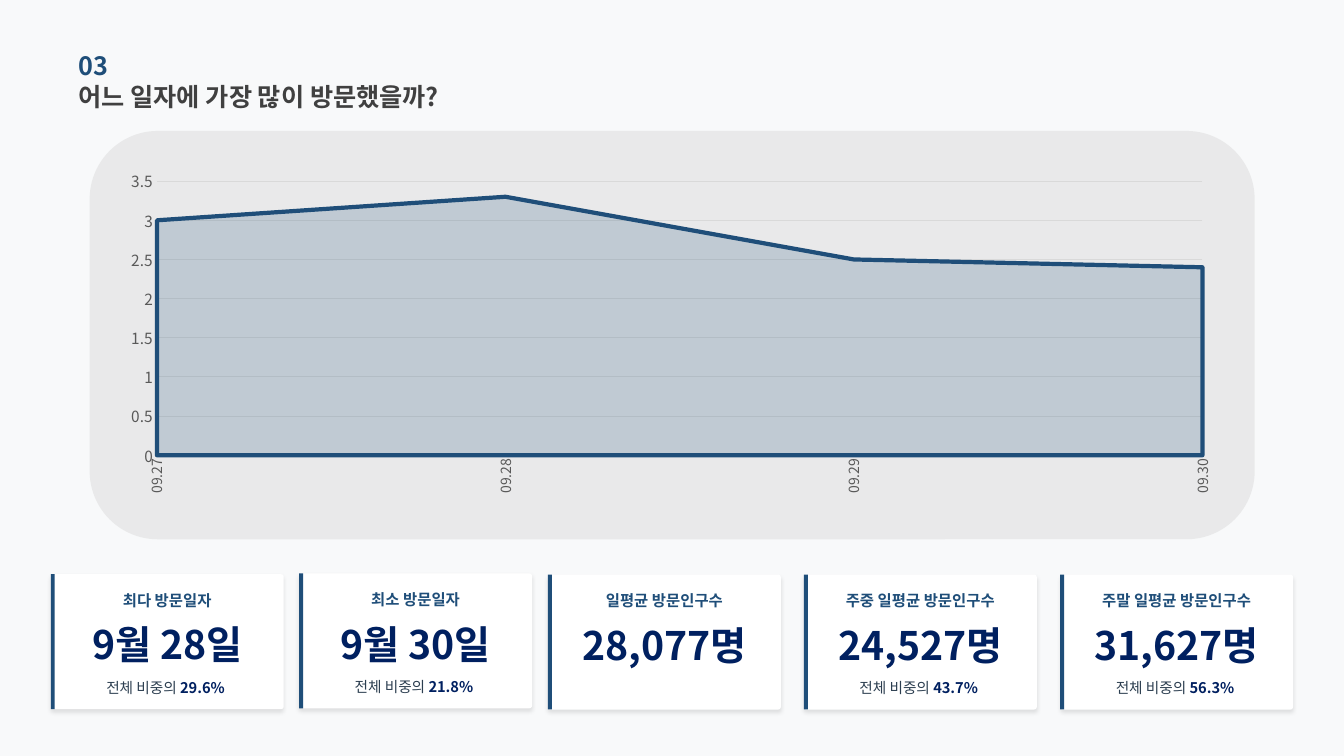
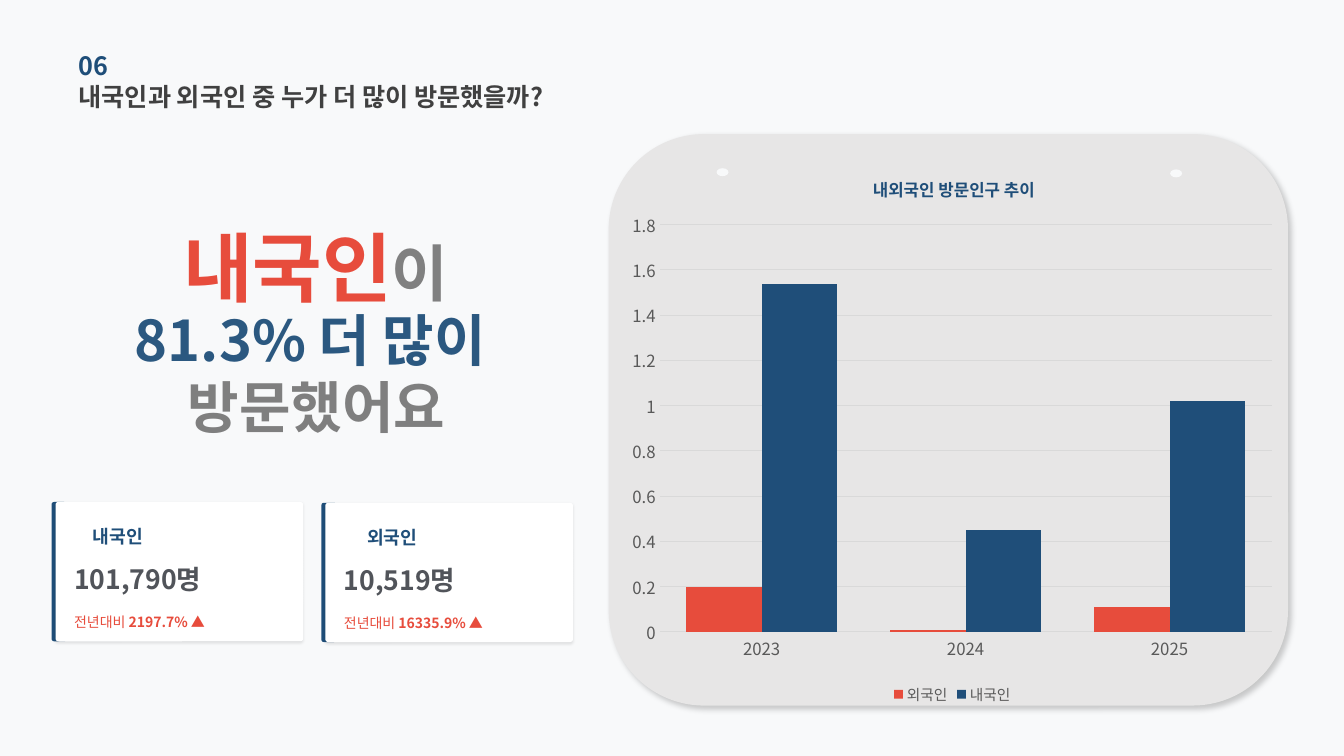
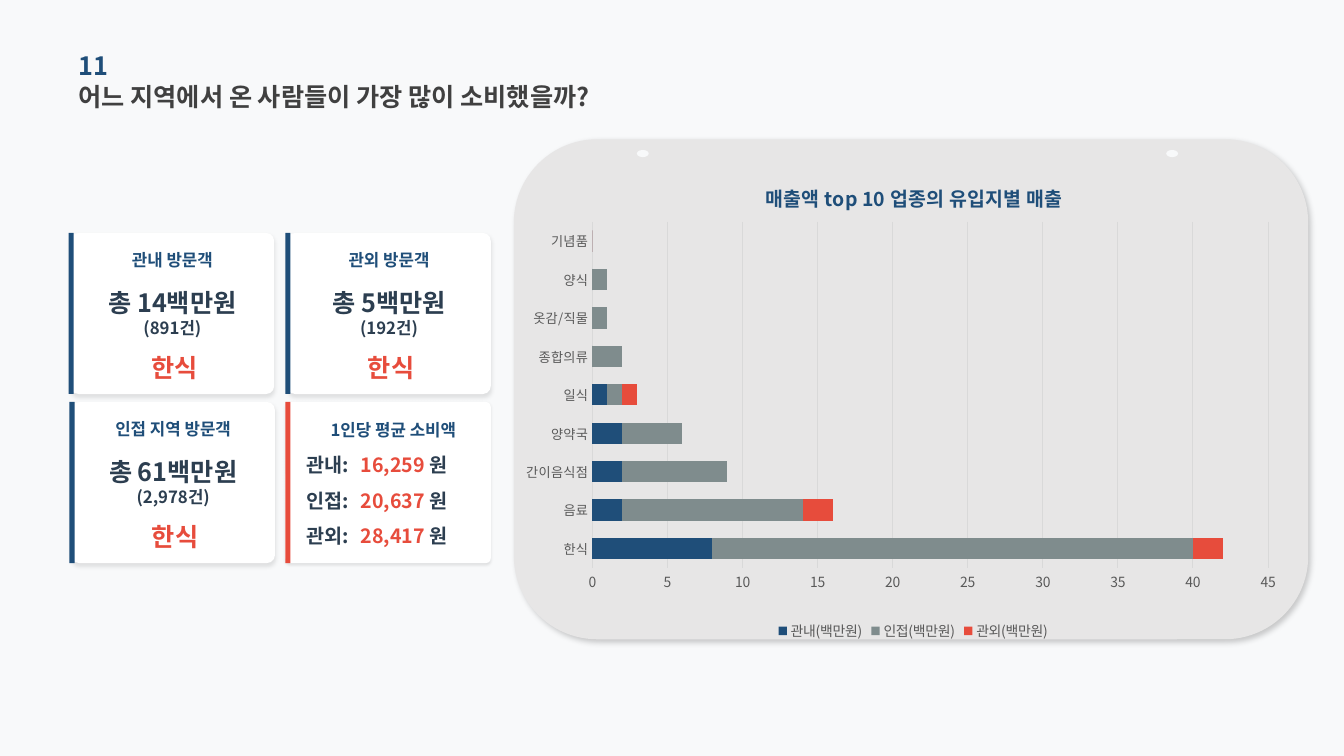
from dataclasses import dataclass
from typing import Optional

from lxml.etree import SubElement
from pptx import Presentation
from pptx.chart.data import CategoryChartData
from pptx.dml.color import RGBColor
from pptx.enum.chart import XL_CHART_TYPE, XL_LEGEND_POSITION, XL_TICK_MARK
from pptx.enum.shapes import MSO_SHAPE
from pptx.enum.text import MSO_ANCHOR, PP_ALIGN
from pptx.oxml.ns import qn
from pptx.util import Cm, Pt

# Shared look
FONT = "Noto Sans CJK KR"
PAPER, WHITE, PANEL = "F8F9FA", "FFFFFF", "E7E6E6"
BLUE, NAVY, RED, SLATE = "1F4E79", "002060", "E74C3C", "2C3E50"
GREY, RULE, LABEL = "7F8C8D", "D9D9D9", "595959"
ROUND, RECT, OVAL = MSO_SHAPE.ROUNDED_RECTANGLE, MSO_SHAPE.RECTANGLE, MSO_SHAPE.OVAL
MID, LEFT = PP_ALIGN.CENTER, PP_ALIGN.LEFT


@dataclass
class Run:
    text: str
    size: Optional[float] = None
    color: Optional[str] = None
    bold: Optional[bool] = None
    new: bool = False  # starts a paragraph


@dataclass
class Shade:
    alpha: int
    blur: float
    dist: float
    angle: int


@dataclass
class Day:
    x: float
    y: float
    label: str
    value: str
    share: str = ""


@dataclass
class Group:
    x: float
    y: float
    label: str
    value: str
    rate: str
    dent: float


@dataclass
class Spend:
    x: float
    y: float
    label: str
    total: str
    count: str


@dataclass
class Series:
    name: str
    values: tuple
    color: str


@dataclass
class Graph:
    kind: XL_CHART_TYPE
    box: tuple
    cats: tuple
    rows: list
    top: float
    step: float
    plot: tuple
    sizes: tuple  # category labels, value labels, legend
    gap: int = 0
    title: str = ""
    head: tuple = ()  # title size, left, top


SOFT, FLAT, DEEP = Shade(10, 3, 2, 90), Shade(10, 2, 1, 90), Shade(20, 4, 3, 45)


# Building blocks
def tint(code: str) -> RGBColor:
    return RGBColor.from_string(code)


def style(font, size: float, color: str, bold: bool = False) -> None:
    font.size, font.bold, font.name = Pt(size), bold, FONT
    font.color.rgb = tint(color)
    SubElement(font._rPr, qn("a:ea")).set("typeface", FONT)


def fade(fill, alpha: int) -> None:
    code = fill._xPr.find(".//" + qn("a:srgbClr"))
    SubElement(code, qn("a:alpha")).set("val", str(alpha * 1000))


def text(slide, box: tuple, *runs, size: float = 12, color: str = BLUE,
         bold: bool = True, align=LEFT) -> None:
    frame = slide.shapes.add_textbox(*map(Cm, box)).text_frame
    frame.word_wrap, frame.vertical_anchor = True, MSO_ANCHOR.MIDDLE
    frame.margin_left = frame.margin_right = frame.margin_top = frame.margin_bottom = 0
    para = frame.paragraphs[0]
    for item in runs:
        run = item if isinstance(item, Run) else Run(item)
        if run.new:
            para = frame.add_paragraph()
        para.alignment = align
        part = para.add_run()
        part.text = run.text
        style(part.font, run.size or size, run.color or color,
              bold if run.bold is None else run.bold)


def block(slide, kind, box: tuple, color: str, adj: Optional[float] = None,
          shade: Optional[Shade] = None):
    shape = slide.shapes.add_shape(kind, *map(Cm, box))
    shape.fill.solid()
    shape.fill.fore_color.rgb = tint(color)
    shape.line.fill.background()
    shape.shadow.inherit = False
    if adj is not None:
        shape.adjustments[0] = adj
    if shade:
        glow = SubElement(shape._element.spPr.find(qn("a:effectLst")), qn("a:outerShdw"))
        for key, val in (("blurRad", Pt(shade.blur)), ("dist", Pt(shade.dist)),
                         ("dir", shade.angle * 60000), ("rotWithShape", 0)):
            glow.set(key, str(int(val)))
        glow.set("algn", "tl")
        code = SubElement(glow, qn("a:srgbClr"))
        code.set("val", "000000")
        SubElement(code, qn("a:alpha")).set("val", str(shade.alpha * 1000))
    return shape


def page(deck, number: str, title: str):
    slide = deck.slides.add_slide(deck.slide_layouts[6])
    text(slide, (1.98, 1.9, 13.6, 1.04), title, size=18, color="404040")
    text(slide, (1.98, 1.12, 11.48, 1.04), number, size=18)
    return slide


def board(slide, box: tuple, dots: tuple, tall: float) -> None:
    block(slide, ROUND, box, PANEL, shade=DEEP)
    for x, y in dots:
        block(slide, OVAL, (x, y, 0.3, tall), PAPER)


# Charts
def place(part, index: int, inner: bool = False, **spots: float) -> None:
    old = part.find(qn("c:layout"))
    if old is not None:
        part.remove(old)
    layout = SubElement(part, qn("c:layout"))
    part.insert(index, layout)
    manual = SubElement(layout, qn("c:manualLayout"))
    marks = [("layoutTarget", "inner")] if inner else []
    marks += [("xMode", "edge"), ("yMode", "edge")]
    marks += [(key, str(val)) for key, val in spots.items()]
    for key, val in marks:
        SubElement(manual, qn("c:" + key)).set("val", val)


def draw(slide, graph: Graph):
    data = CategoryChartData()
    data.categories = graph.cats
    for row in graph.rows:
        data.add_series(row.name, row.values)
    chart = slide.shapes.add_chart(graph.kind, *map(Cm, graph.box), data).chart
    style(chart.font, 10, "000000")
    plot = chart.plots[0]
    plot.vary_by_categories = False
    if graph.gap:
        plot.gap_width = graph.gap
    for row, line in zip(graph.rows, plot.series):
        line.format.fill.solid()
        line.format.fill.fore_color.rgb = tint(row.color)

    # Axes
    cat, val = chart.category_axis, chart.value_axis
    for axis, size in zip((cat, val), graph.sizes):
        axis.major_tick_mark = axis.minor_tick_mark = XL_TICK_MARK.NONE
        style(axis.tick_labels.font, size, LABEL)
    cat.has_major_gridlines, val.has_major_gridlines = False, True
    for line in (cat.format.line, val.major_gridlines.format.line):
        line.color.rgb, line.width = tint(RULE), Pt(0.75)
    val.format.line.fill.background()
    val.minimum_scale, val.maximum_scale, val.major_unit = 0, graph.top, graph.step
    val.tick_labels.number_format = "General"
    val.tick_labels.number_format_is_linked = False
    area = chart._chartSpace.chart.plotArea
    place(area, 0, inner=True, **dict(zip("xywh", graph.plot)))

    # Title and legend
    chart.has_title = bool(graph.title)
    if graph.title:
        size, x, y = graph.head
        run = chart.chart_title.text_frame.paragraphs[0].add_run()
        run.text = graph.title
        style(run.font, size, BLUE, True)
        place(chart.chart_title._element, 1, x=x, y=y)
    chart.has_legend = len(graph.rows) > 1
    if chart.has_legend:
        chart.legend.position = XL_LEGEND_POSITION.BOTTOM
        chart.legend.include_in_layout = False
        style(chart.legend.font, graph.sizes[2], LABEL)
    return chart


# Slide 03
def days(deck) -> None:
    slide = page(deck, "03", "어느 일자에 가장 많이 방문했을까?")
    panel = block(slide, ROUND, (2.26, 3.3, 29.36, 10.29), "D0CECE")
    fade(panel.fill, 36)
    cards = [
        Day(1.28, 14.47, "최다 방문일자", "9월 28일", "29.6% "),
        Day(7.54, 14.45, "최소 방문일자", "9월 30일", "21.8% "),
        Day(13.81, 14.48, "일평균 방문인구수", "28,077명"),
        Day(20.26, 14.48, "주중 일평균 방문인구수", "24,527명", "43.7% "),
        Day(26.72, 14.48, "주말 일평균 방문인구수", "31,627명", "56.3% "),
    ]
    wide, tall = 5.87, 3.4
    for card in cards:
        x, y = card.x, card.y
        block(slide, ROUND, (x, y, wide, tall), WHITE, 0.02, SOFT)
        block(slide, RECT, (x, y, 0.1, tall), BLUE)
        text(slide, (x, y + 0.37, wide, 0.56), card.label, size=11, align=MID)
        text(slide, (x, y + 1.28, wide, 0.97), card.value, size=28, color=NAVY, align=MID)
        if card.share:
            text(slide, (x, y + 2.59, wide, 0.53), Run("전체 비중의 ", bold=False),
                 Run(card.share, color=NAVY), size=10.5, color=SLATE, align=MID)
    chart = draw(slide, Graph(
        XL_CHART_TYPE.AREA, (2.74, 3.28, 28.27, 10.36),
        ("09.27", "09.28", "09.29", "09.30"),
        [Series("Series 1", (3, 3.3, 2.5, 2.4), BLUE)],
        3.5, 0.5, (0.043, 0.124, 0.932, 0.667), (10, 11)))
    trend = chart.plots[0].series[0].format
    fade(trend.fill, 20)
    trend.line.color.rgb, trend.line.width = tint(BLUE), Pt(3)
    body = chart.category_axis._element.find(qn("c:txPr")).find(qn("a:bodyPr"))
    body.set("rot", "-5400000")
    body.set("vert", "horz")
    chart.value_axis._element.find(qn("c:crossBetween")).set("val", "midCat")


# Slide 06
def guests(deck) -> None:
    slide = page(deck, "06", "내국인과 외국인 중 누가 더 많이 방문했을까?")
    board(slide, (15.34, 3.38, 17.12, 14.4), ((18.06, 4.24), (29.49, 4.27)), 0.2)
    text(slide, (2.51, 6.1, 10.9, 1.22), Run("내국인", 54, RED),
         Run("이", 44, "808080"), align=MID)
    text(slide, (0.97, 8.33, 14.02, 2.13), Run("81.3% 더 많이 ", color="2B5880"),
         Run("방문했어요", color="7F7F7F", new=True), size=40, align=MID)
    cards = [
        Group(1.4, 12.65, "내국인", "101,790명", "2197.7% ▲", 0.94),
        Group(8.2, 12.67, "외국인", "10,519명", "16335.9% ▲", 1.05),
    ]
    tall = 3.51
    for card in cards:
        x, y = card.x, card.y
        block(slide, ROUND, (x - 0.1, y, 0.38, tall), BLUE)
        block(slide, ROUND, (x, y, 6.24, tall), WHITE, 0.02, FLAT)
        text(slide, (x + card.dent, y + 0.5, 1.65, 0.71), card.label, size=13)
        text(slide, (x + 0.47, y + 1.45, 6.4, 0.99), card.value, size=19, color="51545A")
        text(slide, (x + 0.47, y + 2.46, 6.4, 1.14), Run("전년대비 ", bold=False),
             card.rate, size=10, color=RED)
    draw(slide, Graph(
        XL_CHART_TYPE.COLUMN_CLUSTERED, (15.62, 3.76, 16.76, 14.1),
        ("2023", "2024", "2025"),
        [Series("외국인", (0.2, 0.01, 0.11), RED),
         Series("내국인", (1.54, 0.45, 1.02), BLUE)],
        1.8, 0.2, (0.06, 0.135, 0.92, 0.728), (12, 12, 10.5), 70,
        "내외국인 방문인구 추이", (12, 0.376, 0.04)))


# Slide 11
def sales(deck) -> None:
    slide = page(deck, "11", "어느 지역에서 온 사람들이 가장 많이 소비했을까?")
    board(slide, (12.95, 3.51, 20.02, 12.6), ((16.05, 3.78), (29.39, 3.78)), 0.18)
    wide, tall, bar = 5.13, 4.06, 0.13
    cards = [
        Spend(1.78, 5.87, "관내 방문객", "총 14백만원", "(891건)"),
        Spend(7.24, 5.87, "관외 방문객", "총 5백만원", "(192건)"),
        Spend(1.8, 10.13, "인접 지역 방문객", "총 61백만원", "(2,978건)"),
    ]
    for card in cards:
        x, y = card.x, card.y
        block(slide, ROUND, (x, y, wide, tall), WHITE, 0.05, SOFT)
        block(slide, RECT, (x - 0.05, y, bar, tall), BLUE)
        text(slide, (x, y + 0.28, wide, 0.79), card.label, align=MID)
        text(slide, (x, y + 1.41, wide, 1.19), Run(card.total, 18),
             Run(card.count, new=True), color=SLATE, align=MID)
        text(slide, (x + 0.05, y + 2.8, wide, 1.19), "한식", size=18, color=RED, align=MID)

    # Spending per head
    x, y = 7.19, 10.13
    block(slide, ROUND, (x, y, 5.18, tall), WHITE, 0.03, FLAT)
    block(slide, RECT, (x, y, bar, tall), RED)
    text(slide, (8.33, 10.52, 3.56, 0.64), "1인당 평균 소비액")
    costs = (("관내:", "16,259 "), ("인접:", "20,637 "), ("관외:", "28,417 "))
    for i, (area, cost) in enumerate(costs):
        top = 11.34 + 0.89 * i
        text(slide, (7.72, top, 1.5, 0.75), area, size=14, color=SLATE)
        text(slide, (9.09, top, 3.2, 0.75), cost, Run("원", color=SLATE), size=14, color=RED)
    draw(slide, Graph(
        XL_CHART_TYPE.BAR_STACKED, (13.26, 3.96, 19.33, 12.29),
        ("한식", "음료", "간이음식점", "양약국", "일식", "종합의류",
         "옷감/직물", "양식", "기념품"),
        [Series("관내(백만원)", (8, 2, 2, 2, 1, 0, 0, 0, 0), BLUE),
         Series("인접(백만원)", (32, 12, 7, 4, 1, 2, 1, 1, 0), GREY),
         Series("관외(백만원)", (2, 2, 0, 0, 1, 0, 0, 0, 0), RED)],
        45, 5, (0.078, 0.133, 0.889, 0.709), (9.5, 10, 10), 80,
        "매출액 top 10 업종의 유입지별 매출", (14, 0.301, 0.042)))


def main() -> None:
    deck = Presentation()
    deck.slide_width, deck.slide_height = Cm(33.87), Cm(19.05)
    paper = deck.slide_master.background.fill
    paper.solid()
    paper.fore_color.rgb = tint(PAPER)
    for build in (days, guests, sales):
        build(deck)
    deck.save("out.pptx")


if __name__ == "__main__":
    main()
